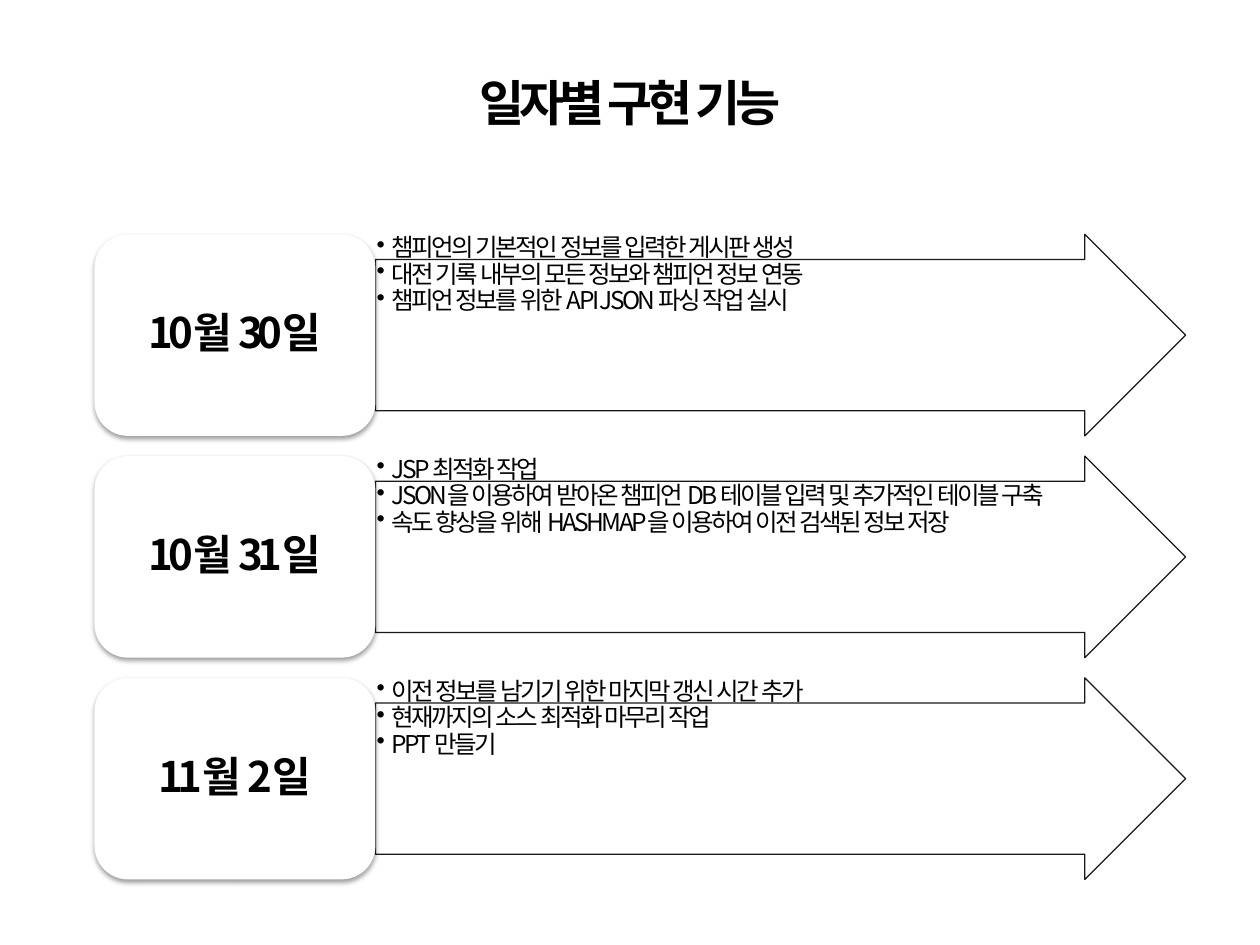
import pptx
import pptx.util
import pptx.dml.color
import pptx.enum.shapes
import pptx.enum.text
import pptx.oxml
import pptx.oxml.ns

Inches, Pt = pptx.util.Inches, pptx.util.Pt
RGBColor = pptx.dml.color.RGBColor
MSO_SHAPE = pptx.enum.shapes.MSO_SHAPE
PP_ALIGN = pptx.enum.text.PP_ALIGN
MSO_ANCHOR = pptx.enum.text.MSO_ANCHOR

TITLE = "일자별 구현 기능"
DAYS = [
    ("10월 30일", ["챔피언의 기본적인 정보를 입력한 게시판 생성",
                "대전 기록 내부의 모든 정보와 챔피언 정보 연동",
                "챔피언 정보를 위한 API JSON 파싱 작업 실시"]),
    ("10월 31일", ["JSP 최적화 작업",
                "JSON을 이용하여 받아온 챔피언 DB 테이블 입력 및 추가적인 테이블 구축",
                "속도 향상을 위해 HASHMAP을 이용하여 이전 검색된 정보 저장"]),
    ("11월 2일", ["이전 정보를 남기기 위한 마지막 갱신 시간 추가",
               "현재까지의 소스 최적화 마무리 작업",
               "PPT 만들기"]),
]

FONT = "Noto Sans CJK KR"
BLACK = RGBColor(0, 0, 0)
WHITE = RGBColor(255, 255, 255)
LEFT, TOP, PITCH, ROW_H = 0.75, 1.86, 1.76, 1.6
DATE_W, ARROW_W = 2.23, 6.43
ARROW_LEFT = LEFT + DATE_W


def add_xml(parent, xml):
    """Append a DrawingML fragment to an element and return it."""
    ns = pptx.oxml.ns.nsdecls("a")
    element = pptx.oxml.parse_xml(xml.replace(">", f" {ns}>", 1)
                                  if "/>" not in xml.split(">")[0] + ">"
                                  else xml.replace("/>", f" {ns}/>", 1))
    parent.append(element)
    return element


def write(s, lines, size, spacing, bold=False, align=PP_ALIGN.LEFT,
          anchor=MSO_ANCHOR.TOP, inset=None, bullet=False, line_spacing=None):
    """Fill a shape or text box with formatted paragraphs."""
    tf = s.text_frame
    tf.word_wrap = True
    tf.vertical_anchor = anchor
    if inset is not None:
        tf.margin_left = tf.margin_right = Inches(inset)
        tf.margin_top = tf.margin_bottom = Inches(inset)
    for i, text in enumerate(lines):
        p = tf.paragraphs[0] if i == 0 else tf.add_paragraph()
        p.alignment = align
        if line_spacing:
            p.line_spacing = line_spacing
        if bullet:
            pPr = p._p.get_or_add_pPr()
            pPr.set("marL", str(Inches(0.12)))
            pPr.set("indent", str(Inches(-0.12)))
            add_xml(pPr, '<a:buChar char="•"/>')
        r = p.add_run()
        r.text = text
        r.font.size = Pt(size)
        r.font.bold = bold
        r.font.name = FONT
        r.font.color.rgb = BLACK
        rPr = r._r.get_or_add_rPr()
        rPr.set("lang", "ko-KR")
        rPr.set("spc", str(int(spacing * 100)))
        add_xml(rPr, f'<a:ea typeface="{FONT}"/>')


def add_box(slide, left, top, width, height, preset=None):
    """Add a white preset shape, or a text box when no preset is given."""
    at = [Inches(v) for v in (left, top, width, height)]
    if preset is None:
        return slide.shapes.add_textbox(*at)
    s = slide.shapes.add_shape(preset, *at)
    s.shadow.inherit = False
    s.fill.solid()
    s.fill.fore_color.rgb = WHITE
    s.line.fill.background()
    return s


def add_arrow(slide, top):
    """Add the outlined, slightly transparent arrow of one day."""
    s = add_box(slide, ARROW_LEFT, top, ARROW_W, ROW_H, MSO_SHAPE.RIGHT_ARROW)
    s.adjustments[0], s.adjustments[1] = 0.75, 0.5
    s.line.color.rgb = BLACK
    s.line.width = Pt(0.75)
    for color in s._element.spPr.iter(pptx.oxml.ns.qn("a:srgbClr")):
        add_xml(color, '<a:alpha val="90000"/>')


def add_date(slide, top, date):
    """Add the rounded date card with its soft shadow."""
    s = add_box(slide, LEFT, top, DATE_W, ROW_H, MSO_SHAPE.ROUNDED_RECTANGLE)
    effects = s._element.spPr.find(pptx.oxml.ns.qn("a:effectLst"))
    add_xml(effects, f'<a:outerShdw blurRad="{Pt(3.1)}" dist="{Pt(1.6)}" '
                     'dir="5400000" rotWithShape="0"><a:srgbClr val="000000">'
                     '<a:alpha val="38000"/></a:srgbClr></a:outerShdw>')
    write(s, [date], 24, -3, bold=True, align=PP_ALIGN.CENTER,
          anchor=MSO_ANCHOR.MIDDLE, line_spacing=0.9)


prs = pptx.Presentation()
prs.slide_width, prs.slide_height = Inches(10), Inches(7.5)
slide = prs.slides.add_slide(prs.slide_layouts[6])

write(add_box(slide, LEFT, 0, 8.5, 1.61), [TITLE], 28, -3, bold=True,
      align=PP_ALIGN.CENTER, anchor=MSO_ANCHOR.MIDDLE)

for row, (date, tasks) in enumerate(DAYS):
    top = TOP + row * PITCH
    add_arrow(slide, top)
    write(add_box(slide, ARROW_LEFT, top, ARROW_W, ROW_H), tasks, 14, -1.5,
          inset=0.01, bullet=True, line_spacing=0.9)
    add_date(slide, top, date)

prs.save("out.pptx")
